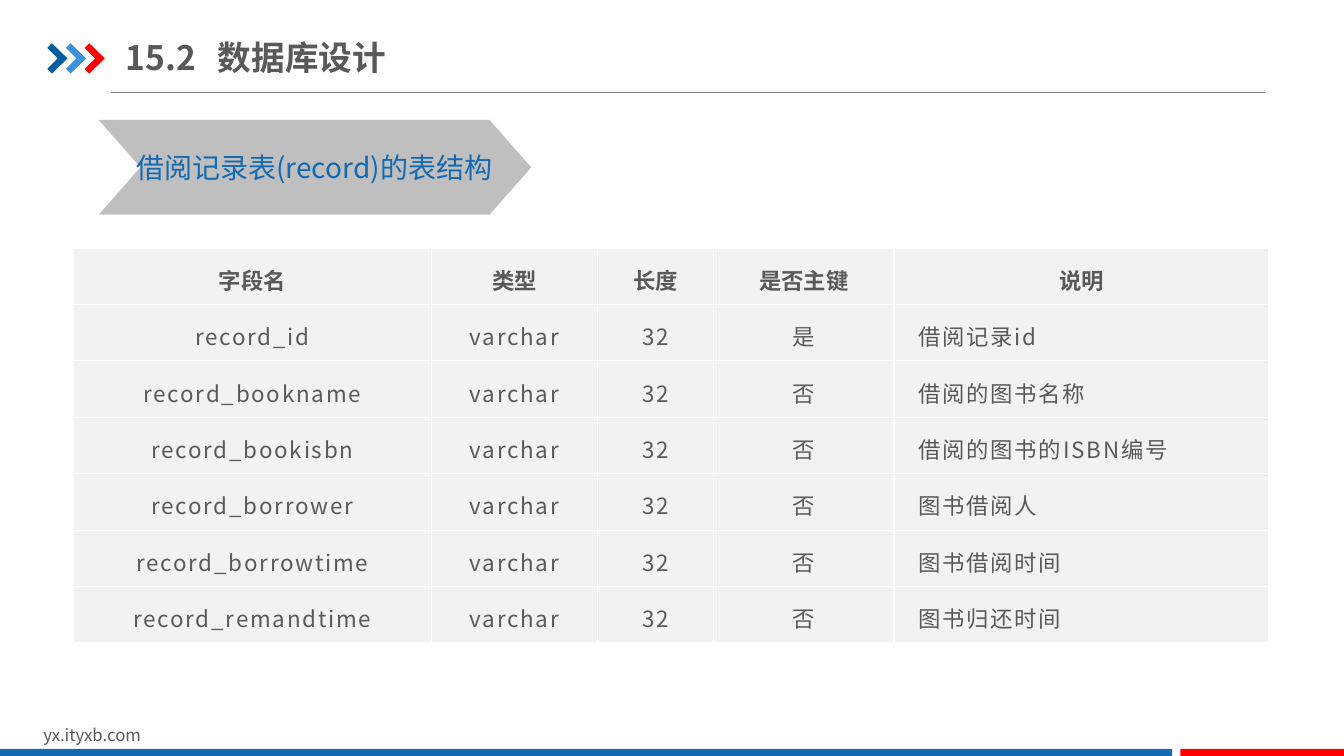
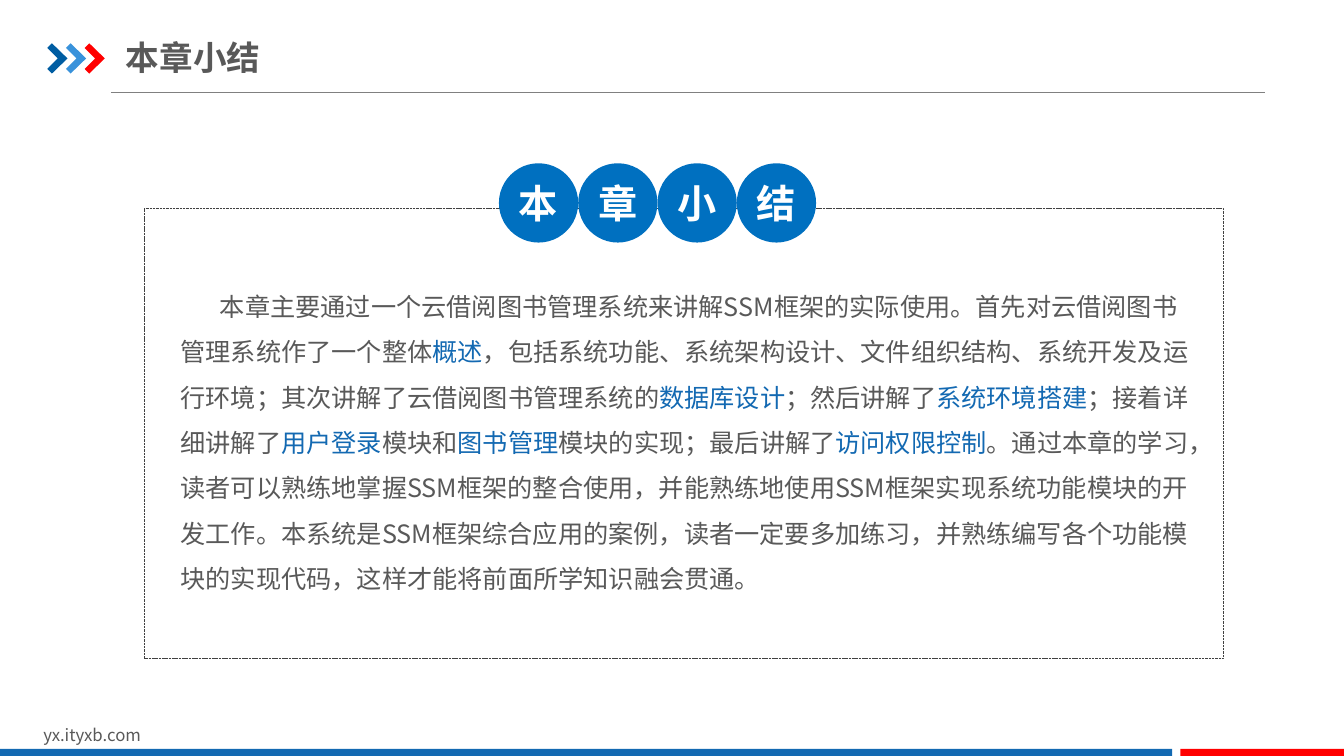
from dataclasses import dataclass
from typing import NamedTuple, Optional

from lxml import etree
from pptx import Presentation
from pptx.dml.color import RGBColor
from pptx.enum import dml, shapes, text
from pptx.oxml.ns import qn
from pptx.util import Inches, Pt

# The slide is a grid of square cells, twelve to the inch.
COLUMNS, ROWS = 160, 90


def cells(count: float) -> int:
    return Inches(count / 12)


class Box(NamedTuple):
    column: float
    row: float
    width: float
    height: float

    def lengths(self) -> list[int]:
        return [cells(value) for value in self]


@dataclass(frozen=True)
class Theme:
    font: str = "Noto Sans CJK SC"
    ink: str = "595959"
    accent: str = "1369B2"
    red: str = "FF0000"
    navy: str = "005DA2"
    sky: str = "3992DB"
    badge: str = "0070C0"
    white: str = "FFFFFF"
    rule: str = "808080"
    frame: str = "404040"
    banner: str = "BFBFBF"
    cell: str = "F2F2F2"
    title_size: int = 24
    badge_size: int = 28
    banner_size: int = 20
    body_size: int = 18
    table_size: int = 16
    footer_size: int = 12


THEME = Theme()


class Band(NamedTuple):
    box: Box
    color: str


class TableColumn(NamedTuple):
    heading: str
    width: float
    align: text.PP_ALIGN = text.PP_ALIGN.CENTER


# Shared layout
BAND_TOP = 89.16
BANDS = [
    Band(Box(0, BAND_TOP, 139.56, ROWS - BAND_TOP), THEME.accent),
    Band(Box(140.52, BAND_TOP, COLUMNS - 140.52, ROWS - BAND_TOP), THEME.red),
]
CHEVRON_COLORS = [THEME.navy, THEME.sky, THEME.red]
CHEVRON_LEFT, CHEVRON_TOP, CHEVRON_STEP = 5.64, 5.16, 2.22
CHEVRON_OUTLINE = [(0, 0.55), (0.55, 0), (2.4, 1.8), (0.55, 3.6), (0, 3.05), (1.25, 1.8)]
TITLE_TAB = 10.95

# Record table
TABLE_LEFT, TABLE_TOP, TABLE_ROW = 8.76, 29.52, 6.72
TABLE_COLUMNS = [
    TableColumn("字段名", 42.6),
    TableColumn("类型", 19.8),
    TableColumn("长度", 13.8),
    TableColumn("是否主键", 21.48),
    TableColumn("说明", 44.64, text.PP_ALIGN.LEFT),
]
RECORD_FIELDS = [
    ("record_id", "是", "借阅记录id"),
    ("record_bookname", "否", "借阅的图书名称"),
    ("record_bookisbn", "否", "借阅的图书的ISBN编号"),
    ("record_borrower", "否", "图书借阅人"),
    ("record_borrowtime", "否", "图书借阅时间"),
    ("record_remandtime", "否", "图书归还时间"),
]

# Chapter summary; the words between bars are highlighted
SUMMARY = (
    "本章主要通过一个云借阅图书管理系统来讲解SSM框架的实际使用。"
    "首先对云借阅图书管理系统作了一个整体|概述|，包括系统功能、系统架构设计、"
    "文件组织结构、系统开发及运行环境；其次讲解了云借阅图书管理系统的|数据库设计|；"
    "然后讲解了|系统环境搭建|；接着详细讲解了|用户登录|模块和|图书管理|模块的实现；"
    "最后讲解了|访问权限控制|。通过本章的学习，读者可以熟练地掌握SSM框架的整合使用，"
    "并能熟练地使用SSM框架实现系统功能模块的开发工作。本系统是SSM框架综合应用的案例，"
    "读者一定要多加练习，并熟练编写各个功能模块的实现代码，这样才能将前面所学知识融会贯通。"
)


def rgb(color: str) -> RGBColor:
    return RGBColor.from_string(color)


def write_text(frame, content: str, *, size: int, color: str = THEME.ink,
               bold: bool = False, align: Optional[text.PP_ALIGN] = None,
               line_spacing: Optional[float] = None, tracking: float = 0,
               indent: float = 0, tab: float = 0) -> None:
    """Write one paragraph; parts between bars take the accent colour."""
    paragraph = frame.paragraphs[0]
    properties = paragraph._p.get_or_add_pPr()
    if indent:
        properties.set("indent", str(cells(indent)))
    if tab:
        stops = etree.SubElement(properties, qn("a:tabLst"))
        etree.SubElement(stops, qn("a:tab"), pos=str(cells(tab)), algn="l")
    if align is not None:
        paragraph.alignment = align
    if line_spacing:
        paragraph.line_spacing = line_spacing
    for number, part in enumerate(content.split("|")):
        run = paragraph.add_run()
        run.text = part
        run.font.size = Pt(size)
        run.font.bold = bold
        run.font.color.rgb = rgb(THEME.accent if number % 2 else color)
        run.font.name = THEME.font
        run_properties = run._r.get_or_add_rPr()
        etree.SubElement(run_properties, qn("a:ea"), typeface=THEME.font)
        if tracking:
            run_properties.set("spc", str(round(tracking * 100)))


def set_margins(target, horizontal: float, vertical: float) -> None:
    target.margin_left = target.margin_right = cells(horizontal)
    target.margin_top = target.margin_bottom = cells(vertical)


def add_text(slide, box: Box, content: str, *, margins: tuple[float, float] = (1.2, 0.6),
             anchor: text.MSO_ANCHOR = text.MSO_ANCHOR.TOP, **text_format) -> None:
    frame = slide.shapes.add_textbox(*box.lengths()).text_frame
    frame.word_wrap = True
    frame.vertical_anchor = anchor
    set_margins(frame, *margins)
    write_text(frame, content, **text_format)


def paint(shape, fill: Optional[str]) -> None:
    shape.shadow.inherit = False
    shape.line.fill.background()
    if fill:
        shape.fill.solid()
        shape.fill.fore_color.rgb = rgb(fill)
    else:
        shape.fill.background()


def add_shape(slide, kind: shapes.MSO_SHAPE, box: Box, fill: Optional[str] = None):
    shape = slide.shapes.add_shape(kind, *box.lengths())
    paint(shape, fill)
    return shape


def add_chevron(slide, left: float, color: str) -> None:
    points = [(cells(left + x), cells(CHEVRON_TOP + y)) for x, y in CHEVRON_OUTLINE]
    builder = slide.shapes.build_freeform(*points[0])
    builder.add_line_segments(points[1:], close=True)
    paint(builder.convert_to_shape(), color)


def add_base_slide(presentation, title: str):
    """Add a blank slide with the heading, rule and footer."""
    slide = presentation.slides.add_slide(presentation.slide_layouts[6])
    rule = slide.shapes.add_connector(
        shapes.MSO_CONNECTOR.STRAIGHT, cells(13.2), cells(10.95), cells(150.6), cells(10.95))
    rule.line.color.rgb = rgb(THEME.rule)
    rule.line.width = Pt(0.5)
    etree.SubElement(rule._element.spPr, qn("a:effectLst"))
    for number, color in enumerate(CHEVRON_COLORS):
        add_chevron(slide, CHEVRON_LEFT + number * CHEVRON_STEP, color)
    add_text(slide, Box(3.96, 85.68, 38.16, 3.6), "yx.ityxb.com", size=THEME.footer_size)
    for band in BANDS:
        add_shape(slide, shapes.MSO_SHAPE.RECTANGLE, band.box, band.color)
    add_text(slide, Box(15, 3.48, 51, 6.6), title, size=THEME.title_size, bold=True,
             margins=(0, 0.84), anchor=text.MSO_ANCHOR.MIDDLE,
             tab=TITLE_TAB if "\t" in title else 0)
    return slide


def add_cell_borders(cell) -> None:
    properties = cell._tc.get_or_add_tcPr()
    for position, side in enumerate(("lnL", "lnR", "lnT", "lnB")):
        border = etree.Element(qn(f"a:{side}"), w=str(Pt(1)))
        fill = etree.SubElement(border, qn("a:solidFill"))
        etree.SubElement(fill, qn("a:srgbClr"), val=THEME.white)
        properties.insert(position, border)


def fill_cell(cell, content: str, align: text.PP_ALIGN, heading: bool) -> None:
    cell.fill.solid()
    cell.fill.fore_color.rgb = rgb(THEME.cell)
    add_cell_borders(cell)
    cell.vertical_anchor = text.MSO_ANCHOR.MIDDLE
    set_margins(cell, 2.88, 0.96)
    write_text(cell.text_frame, content, size=THEME.table_size, bold=heading, align=align,
               line_spacing=1.2, tracking=0 if heading else 1.3)


def add_record_table(slide) -> None:
    rows = [[column.heading for column in TABLE_COLUMNS]]
    rows += [[name, "varchar", "32", key, note] for name, key, note in RECORD_FIELDS]
    box = Box(TABLE_LEFT, TABLE_TOP, sum(column.width for column in TABLE_COLUMNS),
              TABLE_ROW * len(rows))
    table = slide.shapes.add_table(len(rows), len(TABLE_COLUMNS), *box.lengths()).table
    table.horz_banding = False
    for column_number, column in enumerate(TABLE_COLUMNS):
        table.columns[column_number].width = cells(column.width)
        for row_number, row in enumerate(rows):
            heading = row_number == 0
            fill_cell(table.cell(row_number, column_number), row[column_number],
                      text.PP_ALIGN.CENTER if heading else column.align, heading)


def build_record_slide(presentation) -> None:
    slide = add_base_slide(presentation, "15.2\t数据库设计")
    banner = add_shape(slide, shapes.MSO_SHAPE.CHEVRON, Box(11.76, 14.28, 51.48, 11.28),
                       THEME.banner)
    banner.adjustments[0] = 0.44
    add_text(slide, Box(15, 17.28, 44.88, 5.28), "借阅记录表(record)的表结构",
             size=THEME.banner_size, color=THEME.accent)
    add_record_table(slide)


def build_summary_slide(presentation) -> None:
    slide = add_base_slide(presentation, "本章小结")
    # Dashed frame
    frame = add_shape(slide, shapes.MSO_SHAPE.ROUNDED_RECTANGLE,
                      Box(17.16, 24.84, 128.52, 53.52))
    frame.adjustments[0] = 0
    frame.line.color.rgb = rgb(THEME.frame)
    frame.line.width = Pt(0.25)
    frame.line.dash_style = dml.MSO_LINE.SQUARE_DOT
    # Touching badges, one character each
    diameter = 9.44
    for number, character in enumerate("本章小结"):
        badge = add_shape(slide, shapes.MSO_SHAPE.OVAL,
                          Box(59.4 + number * diameter, 19.44, diameter, diameter), THEME.badge)
        set_margins(badge.text_frame, 0, 0)
        badge.text_frame.vertical_anchor = text.MSO_ANCHOR.MIDDLE
        write_text(badge.text_frame, character, size=THEME.badge_size, color=THEME.white,
                   bold=True, align=text.PP_ALIGN.CENTER)
    add_text(slide, Box(19.92, 32.04, 124.68, 39.12), SUMMARY, size=THEME.body_size,
             margins=(1.56, 0.84), line_spacing=1.5, indent=4.7)


def main() -> None:
    presentation = Presentation()
    presentation.slide_width = cells(COLUMNS)
    presentation.slide_height = cells(ROWS)
    build_record_slide(presentation)
    build_summary_slide(presentation)
    presentation.save("out.pptx")


if __name__ == "__main__":
    main()
